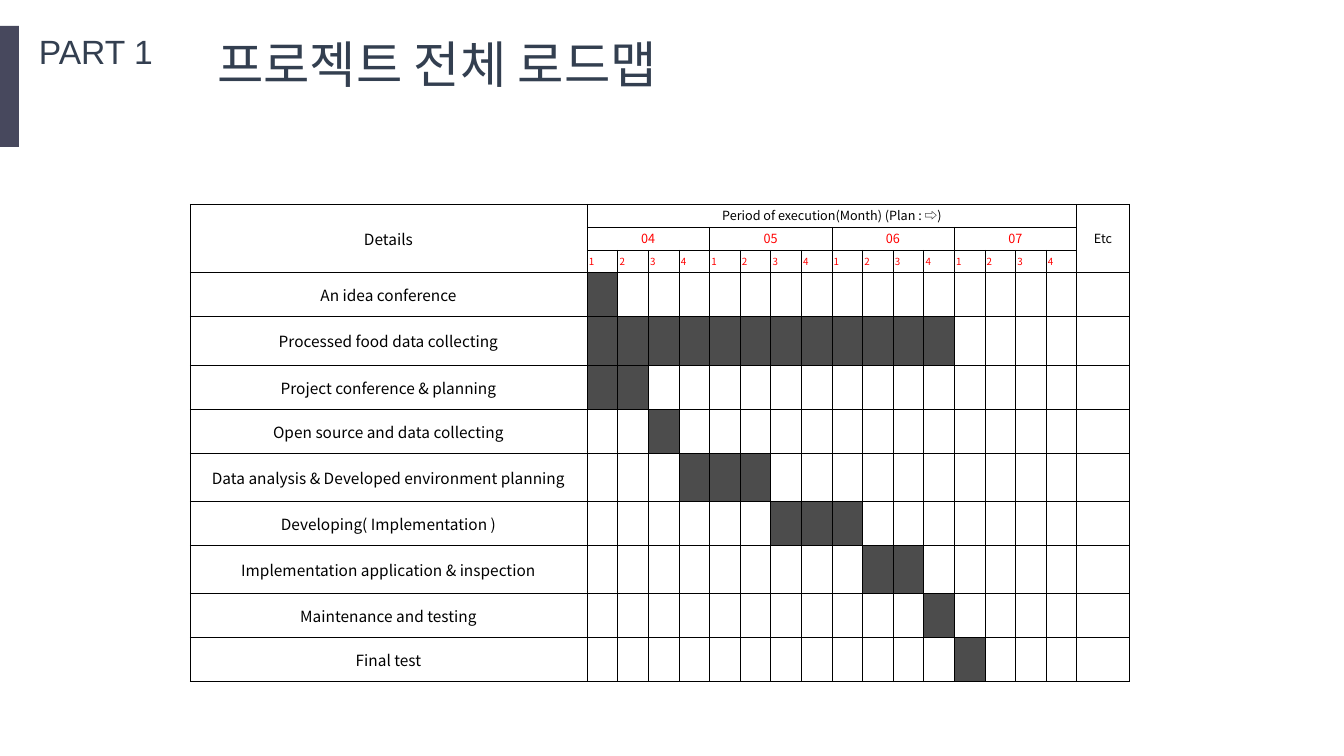
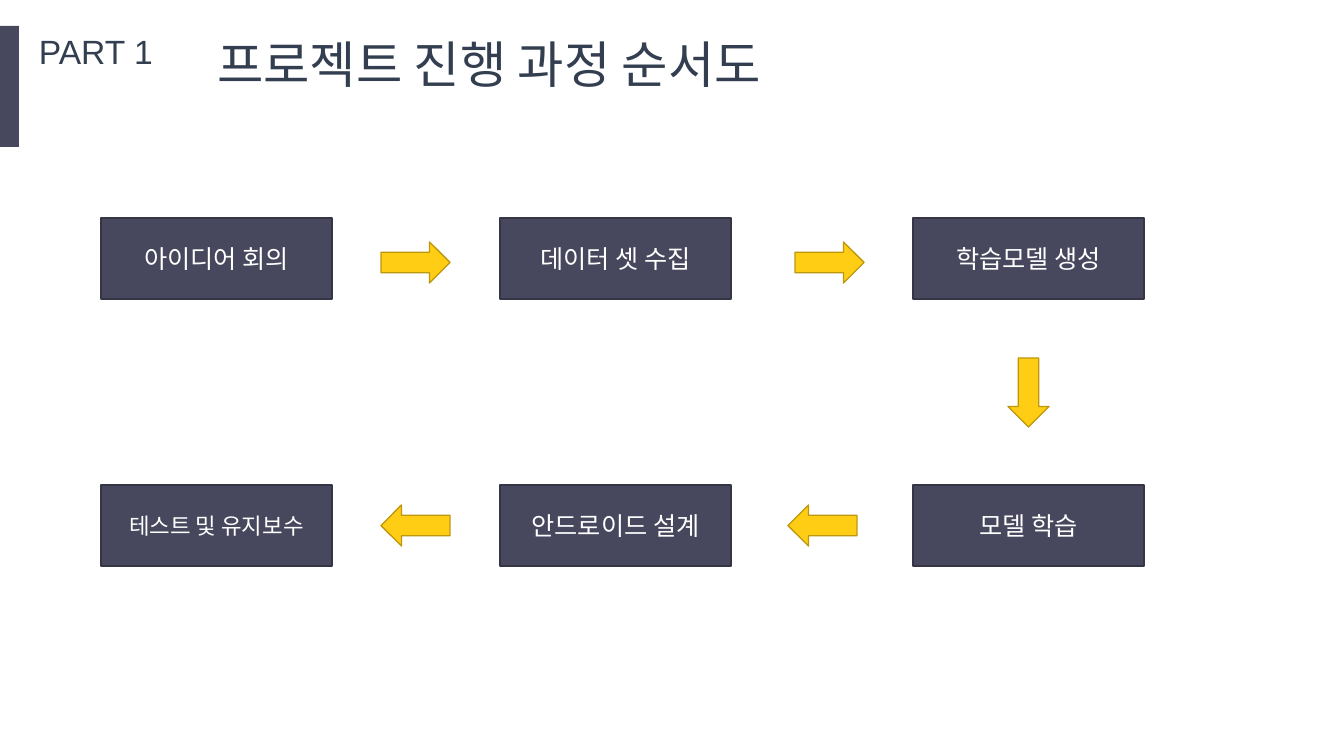
from dataclasses import dataclass

from lxml.etree import SubElement
from pptx import Presentation
from pptx.dml.color import RGBColor
from pptx.enum.shapes import MSO_SHAPE as Preset
from pptx.enum.text import MSO_ANCHOR as Anchor, MSO_AUTO_SIZE as AutoSize, PP_ALIGN as Align
from pptx.oxml.ns import qn
from pptx.util import Pt

EMU_PER_PX = 914400 / 100.8


def px(length):
    return round(length * EMU_PER_PX)


@dataclass(frozen=True)
class Theme:
    navy: str = "47485D"
    navy_edge: str = "353545"
    heading: str = "333F50"
    yellow: str = "FFCD13"
    yellow_edge: str = "BD980E"
    busy: str = "4C4C4C"
    black: str = "000000"
    red: str = "FF0000"
    white: str = "FFFFFF"
    font: str = "Arial"
    table_font: str = "Noto Sans CJK KR"
    title_size: int = 36
    part_size: int = 24
    stage_size: int = 18
    long_stage_size: int = 16
    task_size: int = 11
    period_size: int = 9
    week_size: int = 7
    edge_width: float = 1
    grid_width: float = 0.28


class Deck:
    def __init__(self, theme):
        self.theme = theme
        self.prs = Presentation()
        self.prs.slide_width, self.prs.slide_height = px(1344), px(756)
        self.slide = None

    def set_text(self, frame, text, size, color, align=Align.LEFT, font=None):
        frame.text = text
        paragraph = frame.paragraphs[0]
        paragraph.alignment = align
        run_font = paragraph.runs[0].font
        run_font.name = font or self.theme.font
        run_font.size = Pt(size)
        run_font.color.rgb = RGBColor.from_string(color)

    def heading(self, holder, text, size):
        frame = holder.text_frame
        frame.word_wrap = False
        frame.auto_size = AutoSize.SHAPE_TO_FIT_TEXT
        frame.vertical_anchor = Anchor.TOP
        self.set_text(frame, text, size, self.theme.heading)

    def new_slide(self, part, title, title_width):
        """Add a slide with the side bar, part label and title."""
        self.slide = self.prs.slides.add_slide(self.prs.slide_layouts[5])
        self.shape(Preset.RECTANGLE, 0, 26, 19, 121, self.theme.navy)
        label = self.slide.shapes.add_textbox(px(29), px(26), px(135), px(50))
        self.heading(label, part, self.theme.part_size)
        holder = self.slide.shapes.title
        holder.left, holder.top = px(207), px(28)
        holder.width, holder.height = px(title_width), px(72)
        self.heading(holder, title, self.theme.title_size)

    def shape(self, preset, left, top, width, height, fill, edge=None):
        shape = self.slide.shapes.add_shape(preset, px(left), px(top), px(width), px(height))
        shape.shadow.inherit = False
        shape.fill.solid()
        shape.fill.fore_color.rgb = RGBColor.from_string(fill)
        if edge:
            shape.line.color.rgb = RGBColor.from_string(edge)
            shape.line.width = Pt(self.theme.edge_width)
        else:
            shape.line.fill.background()
        return shape

    def stage(self, left, top, text, size):
        theme = self.theme
        box = self.shape(Preset.RECTANGLE, left, top, 231, 81, theme.navy, theme.navy_edge)
        box.text_frame.vertical_anchor = Anchor.MIDDLE
        self.set_text(box.text_frame, text, size, theme.white, Align.CENTER)

    def arrow(self, left, top, rotation):
        theme = self.theme
        arrow = self.shape(Preset.RIGHT_ARROW, left, top, 69, 41, theme.yellow, theme.yellow_edge)
        arrow.rotation = rotation

    def grid(self, left, top, widths, heights):
        """Add a table of plain, thinly ruled cells."""
        frame = self.slide.shapes.add_table(len(heights), len(widths), px(left), px(top),
                                            px(sum(widths)), px(sum(heights)))
        table = frame.table
        table.first_row = table.horz_banding = False
        for column, width in zip(table.columns, widths):
            column.width = px(width)
        for row, height in zip(table.rows, heights):
            row.height = px(height)
        for cell in table.iter_cells():
            cell.margin_left = cell.margin_right = cell.margin_top = cell.margin_bottom = px(2)
            cell.vertical_anchor = Anchor.MIDDLE
            self.rule(cell)
            cell.fill.background()
        return table

    def rule(self, cell):
        """Draw the four borders of a cell."""
        properties = cell._tc.get_or_add_tcPr()
        for side in ("a:lnL", "a:lnR", "a:lnT", "a:lnB"):
            line = SubElement(properties, qn(side), w=str(Pt(self.theme.grid_width)))
            solid = SubElement(line, qn("a:solidFill"))
            SubElement(solid, qn("a:srgbClr"), val=self.theme.black)

    def cell_text(self, cell, text, size, color, align=Align.CENTER):
        self.set_text(cell.text_frame, text, size, color, align, self.theme.table_font)


MONTHS = ("04", "05", "06", "07")
WEEKS_PER_MONTH = 4
WEEKS = len(MONTHS) * WEEKS_PER_MONTH
HEADER_ROWS = 3

# Task, row height, first and last week
TASKS = (
    ("An idea conference", 44, 1, 1),
    ("Processed food data collecting", 49, 1, 12),
    ("Project conference & planning", 44, 1, 2),
    ("Open source and data collecting", 44, 3, 3),
    ("Data analysis & Developed environment planning", 48, 4, 6),
    ("Developing( Implementation )", 44, 7, 9),
    ("Implementation application & inspection", 48, 10, 11),
    ("Maintenance and testing", 44, 12, 12),
    ("Final test", 44, 13, 13),
)


def roadmap_slide(deck):
    theme = deck.theme
    deck.new_slide("PART 1", "프로젝트 전체 로드맵", 507)
    widths = [397] + [490 / WEEKS] * WEEKS + [53]
    heights = [23, 23, 22] + [height for _, height, _, _ in TASKS]
    table = deck.grid(190, 204, widths, heights)
    etc_column = WEEKS + 1

    headers = (
        ("Details", 0, 0, HEADER_ROWS - 1, 0, theme.task_size),
        ("Period of execution(Month) (Plan : ⇨)", 0, 1, 0, WEEKS, theme.period_size),
        ("Etc", 0, etc_column, HEADER_ROWS - 1, etc_column, theme.period_size),
    )
    for text, top, left, bottom, right, size in headers:
        table.cell(top, left).merge(table.cell(bottom, right))
        deck.cell_text(table.cell(top, left), text, size, theme.black)

    for index, month in enumerate(MONTHS):
        first = 1 + index * WEEKS_PER_MONTH
        table.cell(1, first).merge(table.cell(1, first + WEEKS_PER_MONTH - 1))
        deck.cell_text(table.cell(1, first), month, theme.period_size, theme.red)
        for week in range(WEEKS_PER_MONTH):
            deck.cell_text(table.cell(2, first + week), str(week + 1),
                           theme.week_size, theme.red, Align.JUSTIFY)

    for row, (task, _, start, end) in enumerate(TASKS, HEADER_ROWS):
        deck.cell_text(table.cell(row, 0), task, theme.task_size, theme.black)
        for week in range(start, end + 1):
            fill = table.cell(row, week).fill
            fill.solid()
            fill.fore_color.rgb = RGBColor.from_string(theme.busy)


def process_slide(deck):
    theme = deck.theme
    deck.new_slide("PART 1", "프로젝트 진행 과정 순서도", 623)
    columns = (101, 500, 913)
    stage_rows = (
        (218, ("아이디어 회의", "데이터 셋 수집", "학습모델 생성")),
        (485, ("테스트 및 유지보수", "안드로이드 설계", "모델 학습")),
    )
    for top, stages in stage_rows:
        for left, stage in zip(columns, stages):
            size = theme.long_stage_size if len(stage) > 8 else theme.stage_size
            deck.stage(left, top, stage, size)

    arrows = ((381, 242, 0), (795, 242, 0), (994, 372, 90), (788, 505, 180), (381, 505, 180))
    for left, top, rotation in arrows:
        deck.arrow(left, top, rotation)


def main():
    deck = Deck(Theme())
    roadmap_slide(deck)
    process_slide(deck)
    deck.prs.save("out.pptx")


if __name__ == "__main__":
    main()
